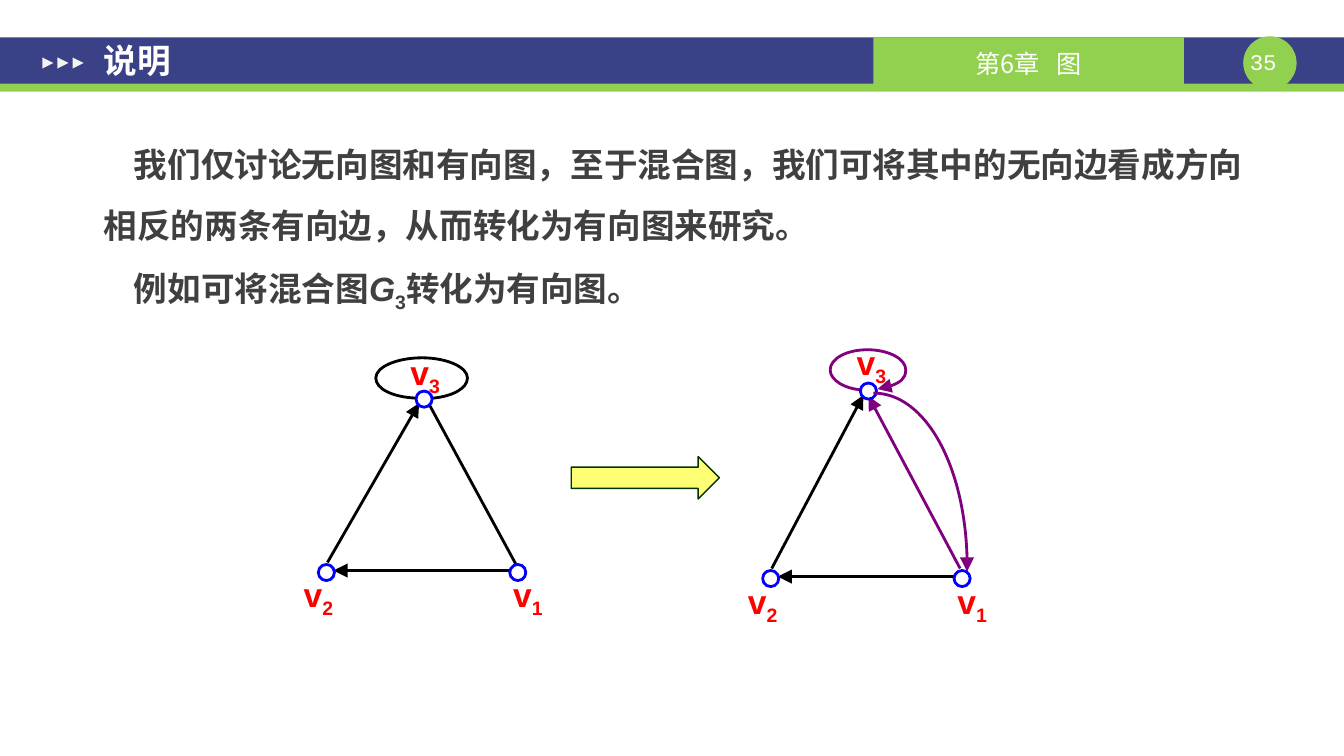
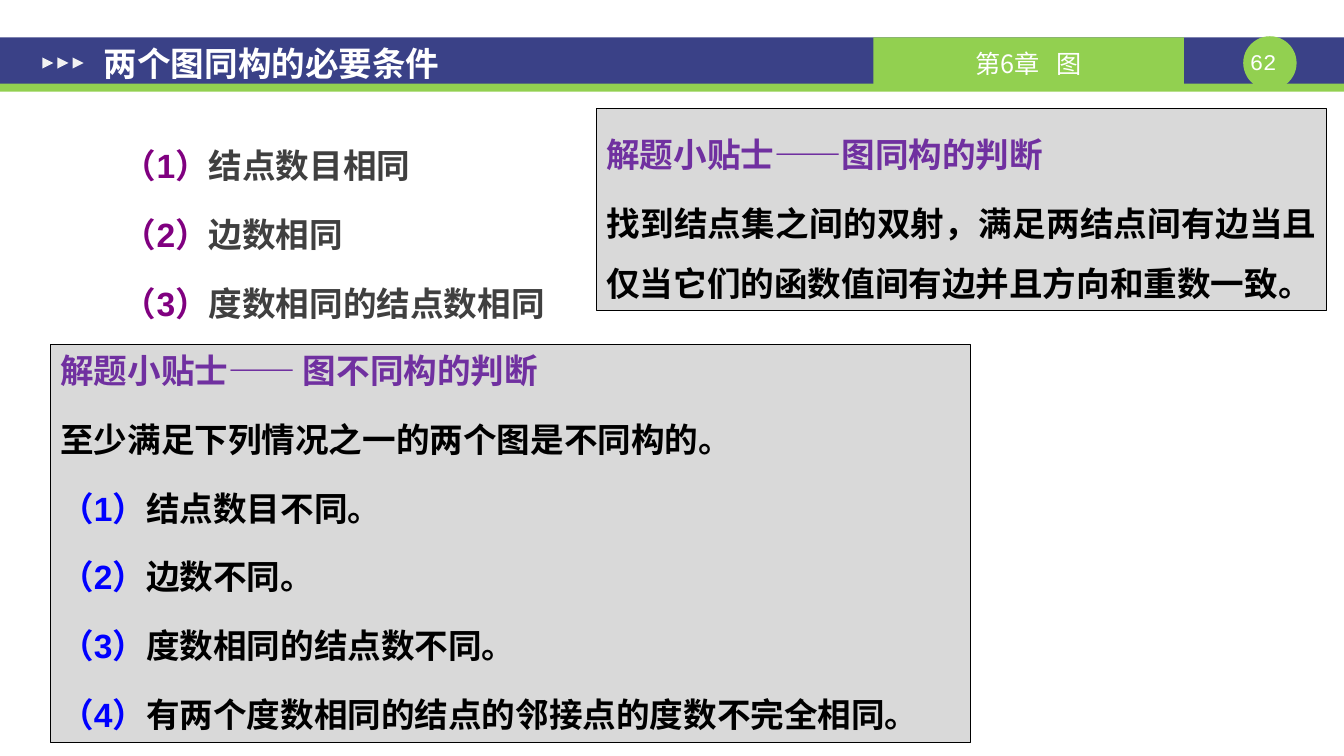
from lxml import etree
from pptx import Presentation
from pptx.dml.color import RGBColor
from pptx.enum.shapes import MSO_CONNECTOR, MSO_SHAPE
from pptx.enum.text import MSO_ANCHOR, PP_ALIGN
from pptx.oxml.ns import qn
from pptx.util import Inches, Pt

RECTANGLE, OVAL = MSO_SHAPE.RECTANGLE, MSO_SHAPE.OVAL
TRIANGLE, RIGHT_ARROW = MSO_SHAPE.ISOSCELES_TRIANGLE, MSO_SHAPE.RIGHT_ARROW
STRAIGHT = MSO_CONNECTOR.STRAIGHT
TOP, MIDDLE = MSO_ANCHOR.TOP, MSO_ANCHOR.MIDDLE
LEFT, CENTER, JUSTIFY = PP_ALIGN.LEFT, PP_ALIGN.CENTER, PP_ALIGN.JUSTIFY

COLORS = {
    "navy": "3A4187", "green": "92D050", "white": "FFFFFF", "marker": "F2F2F2",
    "text": "404040", "black": "000000", "purple": "800080", "violet": "7030A0",
    "blue": "0000FF", "red": "FF0000", "panel": "D9D9D9",
    "arrow": "FFFF66", "arrow line": "003300",
}
LATIN, CHINESE, NUMBER = "Arial", "Noto Sans CJK SC", "Courier New"
TITLE_INSETS = (0.13, 0.07, 0.13, 0.07)
PANEL_INSETS = (0.1, 0.05, 0.1, 0.05)
NO_INSETS = (0, 0, 0, 0)

# Content: a paragraph is a list of (text, colour, style) runs
CHAPTER = [("第6章", "white", ""), (" ", "white", "wide"), ("图", "white", "")]
MIXED_GRAPH = {
    "title": "说明",
    "title_box": (0.9, 0.17, 10.27, 0.86),
    "page": "35 ",
    "body": [
        [("我们仅讨论无向图和有向图，至于混合图，我们可将其中的无向边看成方向"
          "相反的两条有向边，从而转化为有向图来研究。", "text", "")],
        [("例如可将混合图", "text", ""), ("G", "text", "italic"),
         ("3", "text", "subscript"), ("转化为有向图。", "text", "")],
    ],
}
ISOMORPHISM = {
    "title": "两个图同构的必要条件",
    "title_box": (0.9, 0.19, 10.16, 0.87),
    "page": "62 ",
    "conditions": ["结点数目相同", "边数相同", "度数相同的结点数相同"],
    "same_tip": [
        [("解题小贴士——图同构的判断", "violet", "")],
        [("找到结点集之间的双射，满足两结点间有边当且仅当它们的函数值间有边"
          "并且方向和重数一致。", "black", "")],
    ],
    "different_tip": [
        [("解题小贴士—— 图不同构的判断", "violet", "")],
        [("至少满足下列情况之一的两个图是不同构的。", "black", "")],
    ],
    "differences": ["结点数目不同。", "边数不同。", "度数相同的结点数不同。",
                    "有两个度数相同的结点的邻接点的度数不完全相同。"],
}

# Graphs: v3 is the centre of the top node, drop its height above the base.
# A curve is a start point, then two control points and an end point per segment.
GRAPHS = [
    {"v3": (4.21, 3.96), "drop": 1.72, "color": "black", "directed": False,
     "v3_label": (-0.26, -0.47), "label_drop": 0.01,
     "right_edge": ((0.02, -0.01), (0, -0.04)),
     "loop": [(4.13, 3.95), (3.9, 3.94), (3.73, 3.86), (3.73, 3.75),
              (3.73, 3.64), (3.94, 3.55), (4.19, 3.55),
              (4.43, 3.55), (4.64, 3.64), (4.64, 3.75),
              (4.64, 3.85), (4.5, 3.93), (4.3, 3.95)],
     "return_edge": []},
    {"v3": (8.62, 3.88), "drop": 1.86, "color": "purple", "directed": True,
     "v3_label": (-0.24, -0.49), "label_drop": 0.02,
     "right_edge": ((-0.02, -0.1), (0, 0.05)),
     "loop": [(8.57, 3.87), (8.38, 3.86), (8.24, 3.77), (8.24, 3.67),
              (8.24, 3.56), (8.4, 3.47), (8.61, 3.47),
              (8.82, 3.47), (8.99, 3.56), (8.99, 3.67),
              (8.99, 3.76), (8.88, 3.84), (8.71, 3.86)],
     "return_edge": [(8.67, 3.9), (9.19, 3.9), (9.6, 4.67), (9.6, 5.62),
                     (9.6, 5.64), (9.6, 5.66), (9.6, 5.67)]},
]
NODE_SIZE = 0.16
LABEL_SIZE = (0.54, 0.4)


def rgb(name):
    return RGBColor.from_string(COLORS[name])


def add_box(shapes, kind, box, fill, line=None, width=0):
    shape = shapes.add_shape(kind, *map(Inches, box))
    shape.shadow.inherit = False
    shape.fill.solid()
    shape.fill.fore_color.rgb = rgb(fill)
    if line:
        shape.line.color.rgb = rgb(line)
        shape.line.width = Pt(width)
    else:
        shape.line.fill.background()
    return shape


def write(shape, paragraphs, size=24, font=LATIN, bold=True, align=LEFT, anchor=TOP,
          insets=NO_INSETS, spacing=1, first_spacing=None, before=0, indent=0):
    frame = shape.text_frame
    frame.word_wrap = True
    frame.vertical_anchor = anchor
    (frame.margin_left, frame.margin_top,
     frame.margin_right, frame.margin_bottom) = map(Inches, insets)
    for index, runs in enumerate(paragraphs):
        paragraph = frame.add_paragraph() if index else frame.paragraphs[0]
        paragraph.alignment = align
        paragraph.line_spacing = spacing if index else first_spacing or spacing
        paragraph.space_before = Pt(before if index else 0)
        if indent:
            paragraph._p.get_or_add_pPr().set("indent", str(Inches(indent)))
        paragraph.font.size = Pt(size)
        paragraph.font.name = font
        paragraph.font.bold = bold
        for text, color, style in runs:
            run = paragraph.add_run()
            run.text = text
            run.font.color.rgb = rgb(color)
            if style == "italic":
                run.font.italic = True
            elif style == "subscript":
                run.font._rPr.set("baseline", "-25000")
            elif style == "wide":
                run.font._rPr.set("spc", "800")


def add_text(shapes, box, paragraphs, **style):
    write(shapes.add_textbox(*map(Inches, box)), paragraphs, **style)


def numbered(items, number_color, text_color):
    return [[(f"（{number}）", number_color, ""), (item, text_color, "")]
            for number, item in enumerate(items, 1)]


def style_line(line_shape, color, arrow):
    line_shape.line.color.rgb = rgb(color)
    line_shape.line.width = Pt(2)
    if arrow:
        outline = line_shape.line._get_or_add_ln()
        etree.SubElement(outline, qn("a:tailEnd"), type="triangle", w="lg", len="lg")


def add_edge(shapes, start, end, color, arrow=True):
    edge = shapes.add_connector(STRAIGHT, *map(Inches, start + end))
    style_line(edge, color, arrow)
    etree.SubElement(edge._element.spPr, qn("a:effectLst"))


def add_curve(shapes, points, color, arrow):
    start, *others = [(Inches(x), Inches(y)) for x, y in points]
    builder = shapes.build_freeform(*start)
    builder.add_line_segments(others, close=False)
    curve = builder.convert_to_shape()

    # Join every three straight segments into one Bezier segment
    outline = next(curve._element.iter(qn("a:path")))
    segments = outline.findall(qn("a:lnTo"))
    for index in range(0, len(segments), 3):
        bezier = etree.SubElement(outline, qn("a:cubicBezTo"))
        for segment in segments[index:index + 3]:
            bezier.append(segment[0])
            outline.remove(segment)

    curve.shadow.inherit = False
    curve.fill.background()
    style_line(curve, color, arrow)


def shift(point, right, down):
    return (point[0] + right, point[1] + down)


def add_graph(slide, graph):
    shapes = slide.shapes.add_group_shape().shapes
    v3, color, directed = graph["v3"], graph["color"], graph["directed"]
    v2 = shift(v3, -0.97, graph["drop"])
    v1 = shift(v3, 0.93, graph["drop"])
    right_start, right_end = graph["right_edge"]

    # Edges
    add_curve(shapes, graph["loop"], color, directed)
    add_edge(shapes, shift(v1, -0.07, -0.02), shift(v2, 0.07, -0.02), "black")
    add_edge(shapes, shift(v1, *right_start), shift(v3, *right_end), color, directed)
    add_edge(shapes, shift(v2, 0.01, -0.1), shift(v3, -0.05, 0.04), "black")

    # Labels and nodes
    labels = [("3", v3, graph["v3_label"]),
              ("2", v2, (-0.35, graph["label_drop"])),
              ("1", v1, (-0.17, graph["label_drop"]))]
    for number, node, offset in labels:
        add_text(shapes, shift(node, *offset) + LABEL_SIZE,
                 [[("v", "red", ""), (number, "red", "subscript")]], align=CENTER)
        corner = shift(node, -NODE_SIZE / 2, -NODE_SIZE / 2)
        add_box(shapes, OVAL, corner + (NODE_SIZE, NODE_SIZE), "white", "blue", 2)

    if graph["return_edge"]:
        add_curve(shapes, graph["return_edge"], color, directed)


def add_slide(presentation, content):
    """Add a slide with the shared header band, markers, title and page number."""
    slide = presentation.slides.add_slide(presentation.slide_layouts[6])
    shapes = slide.shapes
    add_box(shapes, RECTANGLE, (0, 0.37, 13.34, 0.47), "navy")
    add_box(shapes, RECTANGLE, (0, 0.83, 13.34, 0.08), "green")
    add_box(shapes, OVAL, (12.34, 0.36, 0.53, 0.53), "green")
    add_text(shapes, (12.34, 0.48, 0.53, 0.27), [[(content["page"], "white", "")]],
             size=16, font=NUMBER, bold=False, align=CENTER)
    chapter = add_box(shapes, RECTANGLE, (8.67, 0.37, 3.08, 0.47), "green")
    write(chapter, [CHAPTER], size=18, font=CHINESE, bold=False,
          align=CENTER, anchor=MIDDLE, insets=(0.1, 0.04, 0.1, 0))
    for index in range(3):
        marker = add_box(shapes, TRIANGLE, (0.42 + 0.15 * index, 0.57, 0.11, 0.11),
                         "marker")
        marker.rotation = 90
    add_text(shapes, content["title_box"], [[(content["title"], "white", "")]],
             anchor=MIDDLE, insets=TITLE_INSETS)
    return slide


def build_mixed_graph(presentation):
    slide = add_slide(presentation, MIXED_GRAPH)
    add_text(slide.shapes, (0.9, 1.16, 11.76, 2.01), MIXED_GRAPH["body"],
             insets=TITLE_INSETS, spacing=1.5, indent=0.3)
    for graph in reversed(GRAPHS):
        add_graph(slide, graph)
    arrow = add_box(slide.shapes, RIGHT_ARROW, (5.67, 4.53, 1.47, 0.42),
                    "arrow", "arrow line", 1)
    fill_color = arrow._element.spPr.find(qn("a:solidFill"))[0]
    etree.SubElement(fill_color, qn("a:alpha"), val="90000")


def build_isomorphism(presentation):
    shapes = add_slide(presentation, ISOMORPHISM).shapes
    add_text(shapes, (1.09, 1.17, 8.22, 2.19),
             numbered(ISOMORPHISM["conditions"], "purple", "text"),
             insets=TITLE_INSETS, spacing=1.5, before=6)
    different = (ISOMORPHISM["different_tip"]
                 + numbered(ISOMORPHISM["differences"], "blue", "black"))
    panels = [
        ((5.92, 1.08, 7.25, 2), ISOMORPHISM["same_tip"], 1.5),
        ((0.5, 3.42, 9.13, 3.95), different, 1),
    ]
    for box, paragraphs, first_spacing in panels:
        panel = add_box(shapes, RECTANGLE, box, "panel", "black", 0.75)
        write(panel, paragraphs, align=JUSTIFY, insets=PANEL_INSETS, spacing=1.5,
              first_spacing=first_spacing, before=6)


def main():
    presentation = Presentation()
    presentation.slide_width = Inches(13.34)
    presentation.slide_height = Inches(7.5)
    build_mixed_graph(presentation)
    build_isomorphism(presentation)
    presentation.save("out.pptx")


if __name__ == "__main__":
    main()
